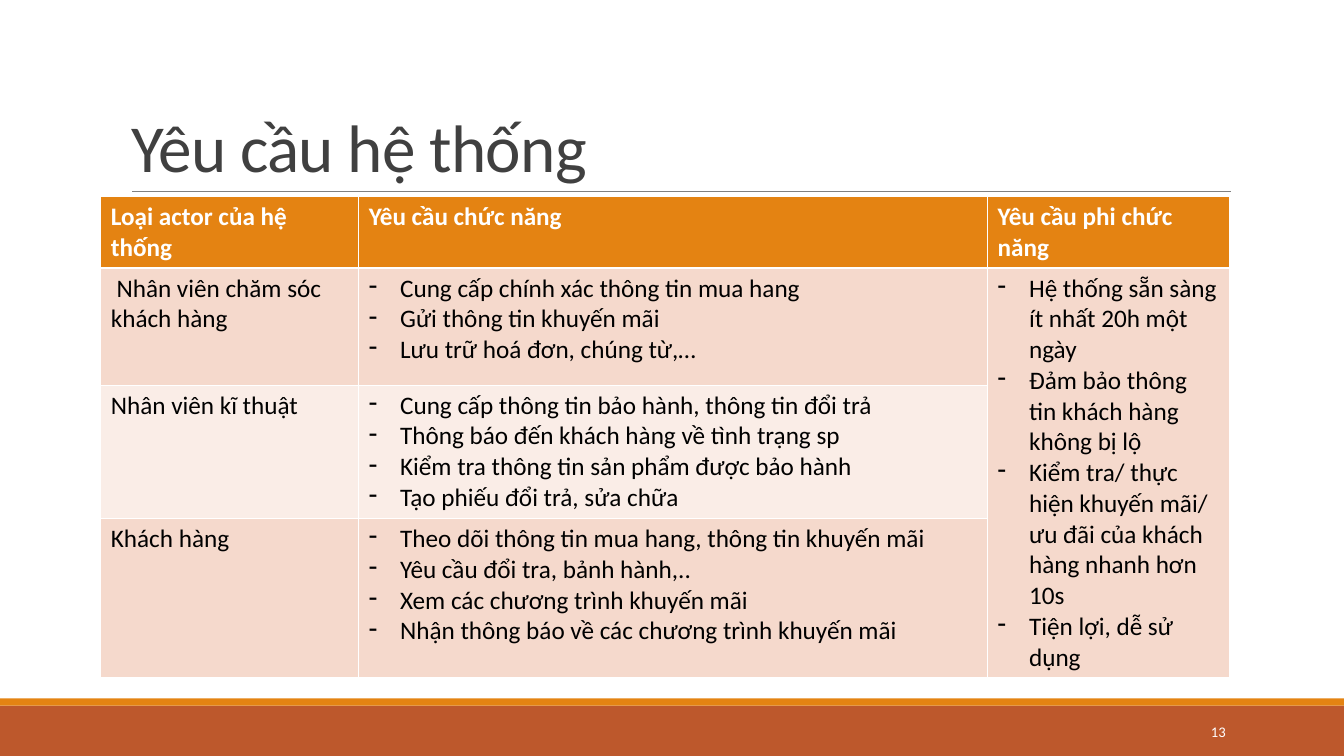
from lxml import etree
from pptx import Presentation
from pptx.dml.color import RGBColor
from pptx.enum.shapes import MSO_CONNECTOR, MSO_SHAPE
from pptx.enum.text import MSO_ANCHOR, PP_ALIGN
from pptx.oxml.ns import qn
from pptx.util import Cm, Pt

RECT, LINE = MSO_SHAPE.RECTANGLE, MSO_CONNECTOR.STRAIGHT
BOTTOM, MIDDLE = MSO_ANCHOR.BOTTOM, MSO_ANCHOR.MIDDLE
LEFT, RIGHT = PP_ALIGN.LEFT, PP_ALIGN.RIGHT

WHITE = RGBColor(0xFF, 0xFF, 0xFF)
BLACK = RGBColor(0, 0, 0)
DARK = RGBColor(0x40, 0x40, 0x40)
GRAY = RGBColor(0x80, 0x80, 0x80)
RUST = RGBColor(0xBD, 0x58, 0x2C)
ORANGE = RGBColor(0xE4, 0x83, 0x12)
PEACH = RGBColor(0xF5, 0xD9, 0xCC)
PALE = RGBColor(0xFA, 0xED, 0xE7)

WIDTH, HEIGHT = 33.87, 19.05
COLS = [6.5, 15.85, 6.1]
ROWS = [1.8, 2.95, 3.36, 4.02]

HEADS = ["Loại actor của hệ thống", "Yêu cầu chức năng", "Yêu cầu phi chức năng"]
ACTORS = [
    (" Nhân viên chăm sóc khách hàng", [
        "Cung cấp chính xác thông tin mua hang",
        "Gửi thông tin khuyến mãi",
        "Lưu trữ hoá đơn, chúng từ,…"]),
    ("Nhân viên kĩ thuật", [
        "Cung cấp thông tin bảo hành, thông tin đổi trả",
        "Thông báo đến khách hàng về tình trạng sp",
        "Kiểm tra thông tin sản phẩm được bảo hành",
        "Tạo phiếu đổi trả, sửa chữa"]),
    ("Khách hàng", [
        "Theo dõi thông tin mua hang, thông tin khuyến mãi",
        "Yêu cầu đổi tra, bảnh hành,..",
        "Xem các chương trình khuyến mãi",
        "Nhận thông báo về các chương trình khuyến mãi"]),
]
QUALITY = [
    "Hệ thống sẵn sàng ít nhất 20h một ngày",
    "Đảm bảo thông tin khách hàng không bị lộ",
    "Kiểm tra/ thực hiện khuyến mãi/ ưu đãi của khách hàng nhanh hơn 10s",
    "Tiện lợi, dễ sử dụng",
]


class Deck:
    font = "Calibri"

    def __init__(self):
        self.prs = Presentation()
        self.prs.slide_width, self.prs.slide_height = Cm(WIDTH), Cm(HEIGHT)
        self.slide = self.prs.slides.add_slide(self.prs.slide_layouts[5])
        self.shapes = self.slide.shapes

    def style(self, par, size, color, bold=False):
        font = par.font
        font.name, font.size, font.bold = self.font, Pt(size), bold
        font.color.rgb = color

    def title(self, text, *box):
        head = self.shapes.title
        head.left, head.top, head.width, head.height = map(Cm, box)
        frame = head.text_frame
        frame.text = text
        frame.vertical_anchor = BOTTOM
        par = frame.paragraphs[0]
        par.alignment, par.line_spacing = LEFT, 0.85
        self.style(par, 48, DARK)
        par.runs[0].font._element.set("spc", "-50")

    def band(self, top, height, color):
        bar = self.shapes.add_shape(RECT, 0, Cm(top), Cm(WIDTH), Cm(height))
        bar.shadow.inherit = False
        bar.fill.solid()
        bar.fill.fore_color.rgb = color
        bar.line.fill.background()

    def rule(self, left, right, top):
        line = self.shapes.add_connector(LINE, Cm(left), Cm(top), Cm(right), Cm(top))
        line.line.color.rgb, line.line.width = GRAY, Pt(0.5)
        etree.SubElement(line._element.spPr, qn("a:effectLst"))

    def label(self, text, *box):
        frame = self.shapes.add_textbox(*map(Cm, box)).text_frame
        frame.word_wrap, frame.vertical_anchor = True, MIDDLE
        frame.text = text
        par = frame.paragraphs[0]
        par.alignment = RIGHT
        self.style(par, 10.5, WHITE)

    def grid(self, left, top, cols, rows):
        table = self.shapes.add_table(len(rows), len(cols), Cm(left), Cm(top),
                                      Cm(sum(cols)), Cm(sum(rows))).table
        for col, width in zip(table.columns, cols):
            col.width = Cm(width)
        for row, height in zip(table.rows, rows):
            row.height = Cm(height)
        return table

    def cell(self, cell, lines, fill, color=BLACK, bold=False, dash=False):
        cell.fill.solid()
        cell.fill.fore_color.rgb = fill
        cell.text = "\n".join(lines)
        for par in cell.text_frame.paragraphs:
            if dash:
                self.dash(par)
            self.style(par, 18, color, bold)

    def dash(self, par):
        props = par._p.get_or_add_pPr()
        props.set("marL", str(Cm(0.79)))
        props.set("indent", str(-Cm(0.79)))
        etree.SubElement(props, qn("a:buChar")).set("char", "-")


def main():
    deck = Deck()

    # Footer bands and title
    deck.band(17.78, 1.27, RUST)
    deck.band(17.6, 0.18, ORANGE)
    deck.rule(3.33, 31.01, 4.83)
    deck.title("Yêu cầu hệ thống", 3.05, 0.79, 27.94, 4.04)

    # Requirements table
    table = deck.grid(2.54, 4.95, COLS, ROWS)
    for col, head in enumerate(HEADS):
        deck.cell(table.cell(0, col), [head], ORANGE, WHITE, bold=True)
    for row, (actor, needs) in enumerate(ACTORS, 1):
        fill = PEACH if row % 2 else PALE
        deck.cell(table.cell(row, 0), [actor], fill)
        deck.cell(table.cell(row, 1), needs, fill, dash=True)
    table.cell(1, 2).merge(table.cell(3, 2))
    deck.cell(table.cell(1, 2), QUALITY, PEACH, dash=True)

    # Page number
    deck.label("13", 27.51, 17.93, 3.63, 1.02)

    deck.prs.save("out.pptx")


if __name__ == "__main__":
    main()
